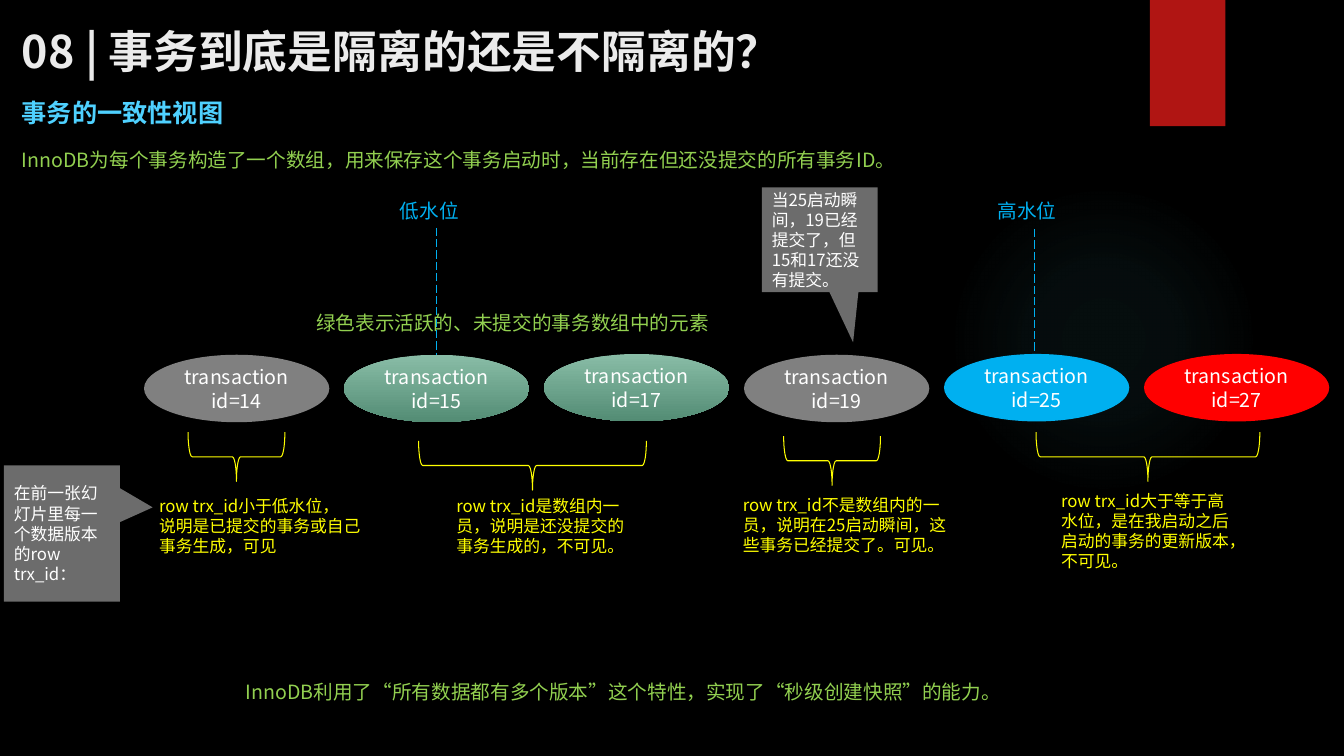
from lxml import etree
from pptx import Presentation
from pptx.dml.color import RGBColor
from pptx.enum.dml import MSO_LINE
from pptx.enum.shapes import MSO_CONNECTOR, MSO_SHAPE
from pptx.enum.text import MSO_ANCHOR, MSO_AUTO_SIZE, PP_ALIGN
from pptx.oxml import parse_xml
from pptx.oxml.ns import nsdecls, qn
from pptx.util import Cm, Pt

LONG_DASH = MSO_LINE.LONG_DASH
STRAIGHT = MSO_CONNECTOR.STRAIGHT
ELLIPSE, RECTANGLE = MSO_SHAPE.OVAL, MSO_SHAPE.RECTANGLE
BRACE, CALLOUT = MSO_SHAPE.LEFT_BRACE, MSO_SHAPE.RECTANGULAR_CALLOUT
TOP, MIDDLE = MSO_ANCHOR.TOP, MSO_ANCHOR.MIDDLE
LEFT, CENTER = PP_ALIGN.LEFT, PP_ALIGN.CENTER
GROW, FIXED = MSO_AUTO_SIZE.SHAPE_TO_FIT_TEXT, MSO_AUTO_SIZE.NONE

BLACK = RGBColor(0x00, 0x00, 0x00)
WHITE = RGBColor(0xFF, 0xFF, 0xFF)
OFF_WHITE = RGBColor(0xEB, 0xEB, 0xEB)
SKY = RGBColor(0x4F, 0xD1, 0xFF)
BLUE = RGBColor(0x00, 0xB0, 0xF0)
LIME = RGBColor(0x92, 0xD0, 0x50)
YELLOW = RGBColor(0xFF, 0xFF, 0x00)
GRAY = RGBColor(0x80, 0x80, 0x80)
LIGHT_GRAY = RGBColor(0xD9, 0xD9, 0xD9)
RED = RGBColor(0xFF, 0x00, 0x00)
DARK_RED = RGBColor(0xB0, 0x15, 0x13)
GREEN_TOP = RGBColor(0x89, 0xBD, 0xA7)
GREEN_BOTTOM = RGBColor(0x53, 0x8C, 0x74)
TEAL = RGBColor(0x50, 0xB9, 0xC1)
GREEN_FADE = (GREEN_TOP, GREEN_BOTTOM)

TRANSACTIONS = [(14, GRAY, 8.94), (15, GREEN_FADE, 8.94), (17, GREEN_FADE, 8.92),
                (19, GRAY, 8.94), (25, BLUE, 8.92), (27, RED, 8.92)]
# centre x, centre y, span
BRACES = [(5.96, 11.51, 2.44), (13.42, 11.73, 5.74),
          (20.97, 11.61, 2.44), (28.93, 11.51, 5.64)]
NOTES = [
    ((3.76, 12.37, 5.74, 1.8),
     ["row trx_id小于低水位，", "说明是已提交的事务或自己事务生成，可见"]),
    ((11.25, 12.37, 4.9, 1.8),
     ["row trx_id是数组内一员，说明是还没提交的事务生成的，不可见。"]),
    ((18.47, 12.34, 5.74, 1.8),
     ["row trx_id不是数组内的一员，说明在25启动瞬间，这些事务已经提交了。可见。"]),
    ((26.49, 12.24, 4.9, 2.31),
     ["row trx_id大于等于高水位，是在我启动之后启动的事务的更新版本，不可见。"]),
]
GREEN_LINES = [
    ((0.3, 3.61, 24.66, 0.86),
     "InnoDB为每个事务构造了一个数组，用来保存这个事务启动时，当前存在但还没提交的所有事务ID。"),
    ((7.72, 7.7, 12.5, 0.86), "绿色表示活跃的、未提交的事务数组中的元素"),
    ((5.94, 17.02, 24.66, 0.86),
     "InnoDB利用了“所有数据都有多个版本”这个特性，实现了“秒级创建快照”的能力。"),
]
WATER_LEVELS = [("低水位", 11.0, 5.74), ("高水位", 26.06, 5.77)]
CALLOUTS = [
    ((0.1, 11.73, 2.92, 3.43), (0.784, -0.192),
     "在前一张幻灯片里每一个数据版本的row trx_id："),
    ((19.2, 4.72, 2.92, 2.64), (0.288, 0.981),
     "当25启动瞬间，19已经提交了，但15和17还没有提交。"),
]


class Page:
    """Holds the text style and the slide being drawn."""
    typeface = "Noto Sans CJK SC"

    def __init__(self, deck):
        self.slide = deck.slides.add_slide(deck.slide_layouts[5])
        self.shapes = self.slide.shapes
        fill = self.slide.background.fill
        fill.solid()
        fill.fore_color.rgb = BLACK

    def set_text(self, shape, paragraphs, size, color, bold=False, align=LEFT,
                 anchor=TOP, wrap=True, auto_size=FIXED):
        frame = shape.text_frame
        frame.text = "\n".join(paragraphs)
        frame_format = {"word_wrap": wrap, "auto_size": auto_size, "vertical_anchor": anchor}
        for name, value in frame_format.items():
            setattr(frame, name, value)
        for para in frame.paragraphs:
            para.alignment = align
            for span in para.runs:
                font_format = {"size": Pt(size), "bold": bold, "name": self.typeface}
                for name, value in font_format.items():
                    setattr(span.font, name, value)
                span.font.color.rgb = color
                latin = span.font._element.find(qn("a:latin"))
                east_asian = parse_xml(f'<a:ea {nsdecls("a")} typeface="{self.typeface}"/>')
                latin.addnext(east_asian)

    def title(self, place, text):
        box = self.shapes.title
        for name, value in zip(("left", "top", "width", "height"), place):
            setattr(box, name, Cm(value))
        self.set_text(box, [text], 32, OFF_WHITE, bold=True, anchor=MIDDLE)

    def text(self, place, paragraphs, size, color, **style):
        box = self.shapes.add_textbox(*map(Cm, place))
        self.set_text(box, paragraphs, size, color, auto_size=GROW, **style)

    def shape(self, kind, place, fill=None):
        """Add a shape without outline; GREEN_FADE runs downwards."""
        shape = self.shapes.add_shape(kind, *map(Cm, place))
        shape.shadow.inherit = False
        shape.line.fill.background()
        if fill is None:
            shape.fill.background()
        elif fill == GREEN_FADE:
            shape.fill.gradient()
            shape.fill.gradient_angle = 270
            for stop, color in zip(shape.fill.gradient_stops, fill):
                stop.color.rgb = color
        else:
            shape.fill.solid()
            shape.fill.fore_color.rgb = fill
        return shape

    def glow(self, place):
        shape = self.shape(ELLIPSE, place)
        stops = "".join(
            f'<a:gs pos="{position * 1000}"><a:srgbClr val="{TEAL}">'
            f'<a:alpha val="{opacity * 1000}"/></a:srgbClr></a:gs>'
            for position, opacity in ((0, 7), (36, 6), (69, 0), (100, 0)))
        fade = parse_xml(
            f'<a:gradFill {nsdecls("a")}><a:gsLst>{stops}</a:gsLst><a:path path="circle">'
            '<a:fillToRect l="50000" t="50000" r="50000" b="50000"/></a:path></a:gradFill>')
        properties = shape._element.spPr
        properties.replace(properties.find(qn("a:noFill")), fade)

    def transaction(self, place, number, fill):
        shape = self.shape(ELLIPSE, place, fill)
        self.set_text(shape, [f"transaction id={number}"], 14, WHITE,
                      align=CENTER, anchor=MIDDLE)

    def brace(self, center_x, center_y, span, depth=1.24):
        place = (center_x - depth / 2, center_y - span / 2, depth, span)
        shape = self.shape(BRACE, place)
        shape.rotation = 270
        shape.line.color.rgb = YELLOW
        shape.line.width = Pt(0.75)

    def callout(self, place, tip, text):
        shape = self.shape(CALLOUT, place, LIGHT_GRAY)
        for index, value in enumerate(tip):
            shape.adjustments[index] = value
        color = shape._element.spPr.find(qn("a:solidFill"))[0]
        etree.SubElement(color, qn("a:alpha"), val="50000")
        self.set_text(shape, [text], 12, WHITE, anchor=MIDDLE)

    def dashed_line(self, x, top, bottom):
        line = self.shapes.add_connector(STRAIGHT, Cm(x), Cm(top), Cm(x), Cm(bottom))
        line.line.color.rgb = BLUE
        for name, value in {"width": Pt(0.75), "dash_style": LONG_DASH}.items():
            setattr(line.line, name, value)
        etree.SubElement(line._element.spPr, qn("a:effectLst"))


def main():
    deck = Presentation()
    deck.slide_width, deck.slide_height = Cm(33.87), Cm(19.05)
    page = Page(deck)
    page.glow((23.9, 4.65, 7.82, 7.82))
    page.shape(RECTANGLE, (28.98, 0, 1.9, 3.18), DARK_RED)
    page.title((0.3, 0.43, 30.96, 1.68), "08 | 事务到底是隔离的还是不隔离的？")
    page.text((0.3, 2.34, 5.64, 1.02), ["事务的一致性视图"], 18, SKY, bold=True, wrap=False)
    for column, (number, fill, top) in enumerate(TRANSACTIONS):
        page.transaction((3.63 + 5.04 * column, top, 4.67, 1.7), number, fill)
    for brace in BRACES:
        page.brace(*brace)
    for place, paragraphs in NOTES:
        page.text(place, paragraphs, 12, YELLOW)
    for place, sentence in GREEN_LINES:
        page.text(place, [sentence], 14, LIME)
    for label, x, top in WATER_LEVELS:
        page.dashed_line(x, top, 8.94)
        page.text((x - 1.17, 4.9, 2.34, 0.86), [label], 14, BLUE)
    for callout in CALLOUTS:
        page.callout(*callout)
    deck.save("out.pptx")


if __name__ == "__main__":
    main()
